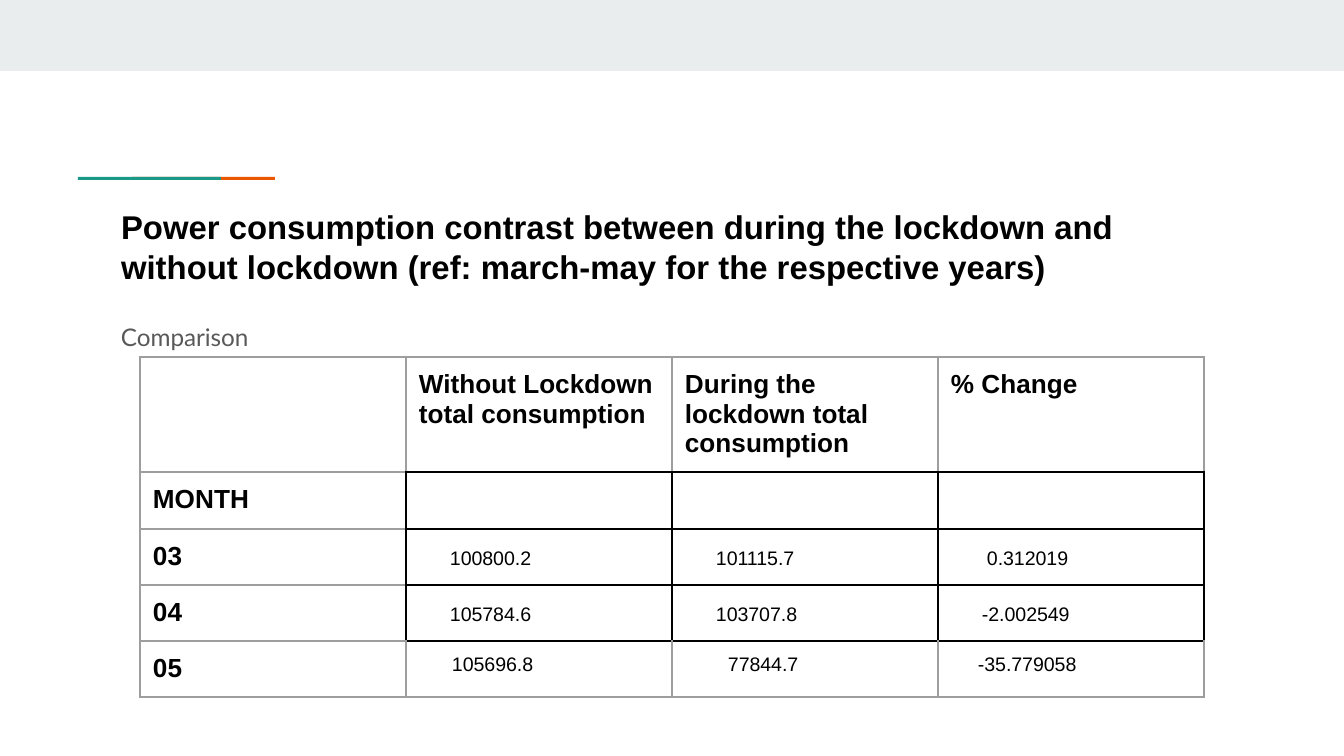
import pptx
import pptx.dml.color
import pptx.enum.shapes
import pptx.enum.text
import pptx.oxml
import pptx.oxml.ns
import pptx.util

RGBColor = pptx.dml.color.RGBColor
BLACK = RGBColor(0x00, 0x00, 0x00)
GREY = RGBColor(0x59, 0x59, 0x59)
BORDER_GREY = RGBColor(0x9E, 0x9E, 0x9E)
BAND = RGBColor(0xE9, 0xED, 0xEE)
ORANGE = RGBColor(0xEB, 0x56, 0x00)
TEAL = RGBColor(0x1A, 0x99, 0x88)

INSET = 13
CELL_INSET = 5
SIDES = {"lnL": (0, -1), "lnR": (0, 1), "lnT": (-1, 0), "lnB": (1, 0)}
HEADINGS = ["Without Lockdown total consumption",
            "During the lockdown total consumption", "% Change"]
MONTHS = {
    "03": [("100800.2", 44), ("101115.7", 44), ("0.312019", 49)],
    "04": [("105784.6", 44), ("103707.8", 44), ("-2.002549", 44)],
    "05": [("105696.8", 46), ("77844.7", 56), ("-35.779058", 40)],
}


def px(length):
    return pptx.util.Emu(round(length * 914400 / 134.4))


class SlideBuilder:
    def __init__(self, presentation):
        self.slide = presentation.slides.add_slide(presentation.slide_layouts[5])
        self.font = "Arial"

    def bar(self, left, top, width, height, color):
        shape = self.slide.shapes.add_shape(
            pptx.enum.shapes.MSO_SHAPE.RECTANGLE,
            px(left), px(top), px(width), px(height))
        shape.shadow.inherit = False
        shape.fill.solid()
        shape.fill.fore_color.rgb = color
        shape.line.fill.background()

    def add_text(self, frame, text, size, color=BLACK, bold=False, font=None):
        paragraph = frame.paragraphs[0]
        paragraph.alignment = pptx.enum.text.PP_ALIGN.LEFT
        run = paragraph.add_run()
        run.text = text
        run.font.name = font or self.font
        run.font.size = pptx.util.Pt(size)
        run.font.bold = bold
        run.font.color.rgb = color
        return paragraph

    def prepare(self, shape, left, top, width, height):
        shape.left, shape.top = px(left), px(top)
        shape.width, shape.height = px(width), px(height)
        frame = shape.text_frame
        frame.word_wrap = True
        frame.auto_size = pptx.enum.text.MSO_AUTO_SIZE.NONE
        frame.vertical_anchor = pptx.enum.text.MSO_ANCHOR.TOP
        frame.margin_left = frame.margin_right = px(INSET)
        frame.margin_top = frame.margin_bottom = px(INSET)
        return frame

    def title(self, text, *box):
        frame = self.prepare(self.slide.shapes.title, *box)
        paragraph = self.add_text(frame, text, 17.6, bold=True)
        paragraph.space_before = pptx.util.Pt(12)

    def body(self, text, *box):
        shape = self.slide.shapes.add_textbox(0, 0, 0, 0)
        frame = self.prepare(shape, *box)
        paragraph = self.add_text(frame, text, 13, GREY, font="Lato")
        paragraph.line_spacing = 1.15
        paragraph.space_after = pptx.util.Pt(12)

    def table(self, left, top, column_width, heights, columns):
        shape = self.slide.shapes.add_table(
            len(heights), columns, px(left), px(top),
            px(column_width * columns), px(sum(heights)))
        table = shape.table
        table.first_row = table.horz_banding = False
        for column in table.columns:
            column.width = px(column_width)
        for row, height in zip(table.rows, heights):
            row.height = px(height)
        for row in range(len(heights)):
            for column in range(columns):
                cell = table.cell(row, column)
                cell.fill.background()
                self.margins(cell, CELL_INSET, CELL_INSET)
                self.borders(cell, row, column, len(heights) - 1)
        return table

    def margins(self, cell, inset, left):
        cell.margin_left = px(left)
        cell.margin_right = cell.margin_top = cell.margin_bottom = px(inset)

    def borders(self, cell, row, column, last_row):
        def is_inner(row, column):
            return 0 < row < last_row and column > 0

        properties = cell._tc.get_or_add_tcPr()
        for index, (side, (down, across)) in enumerate(SIDES.items()):
            dark = is_inner(row, column)
            if 0 <= column + across < 4:
                dark = dark or is_inner(row + down, column + across)
            color = BLACK if dark else BORDER_GREY
            properties.insert(index, pptx.oxml.parse_xml(
                f'<a:{side} {pptx.oxml.ns.nsdecls("a")} w="9525"><a:solidFill>'
                f'<a:srgbClr val="{color}"/></a:solidFill></a:{side}>'))

    def label(self, cell, text):
        self.margins(cell, INSET, INSET)
        self.add_text(cell.text_frame, text, 14, bold=True)

    def value(self, cell, text, left, centred):
        self.margins(cell, CELL_INSET if centred else INSET, left)
        paragraph = self.add_text(cell.text_frame, text, 10.5)
        if centred:
            cell.vertical_anchor = pptx.enum.text.MSO_ANCHOR.MIDDLE
            paragraph.line_spacing = 1.15


def main():
    presentation = pptx.Presentation()
    presentation.slide_width, presentation.slide_height = px(1344), px(756)
    builder = SlideBuilder(presentation)
    builder.bar(0, 0, 1344, 71, BAND)
    builder.bar(132, 177, 143, 3, ORANGE)
    builder.bar(78, 177, 143, 3, TEAL)
    builder.title("Power consumption contrast between during the lockdown and "
                  "without lockdown (ref: march-may for the respective years)",
                  108, 194, 1130, 79)
    builder.body("Comparison", 108, 305, 1130, 332)

    table = builder.table(140, 357, 266, [115, 57, 56, 56, 56], 4)
    for column, heading in enumerate(HEADINGS, 1):
        builder.label(table.cell(0, column), heading)
    builder.label(table.cell(1, 0), "MONTH")
    for row, (month, values) in enumerate(MONTHS.items(), 2):
        builder.label(table.cell(row, 0), month)
        for column, (text, left) in enumerate(values, 1):
            builder.value(table.cell(row, column), text, left, month != "05")
    presentation.save("out.pptx")


if __name__ == "__main__":
    main()
